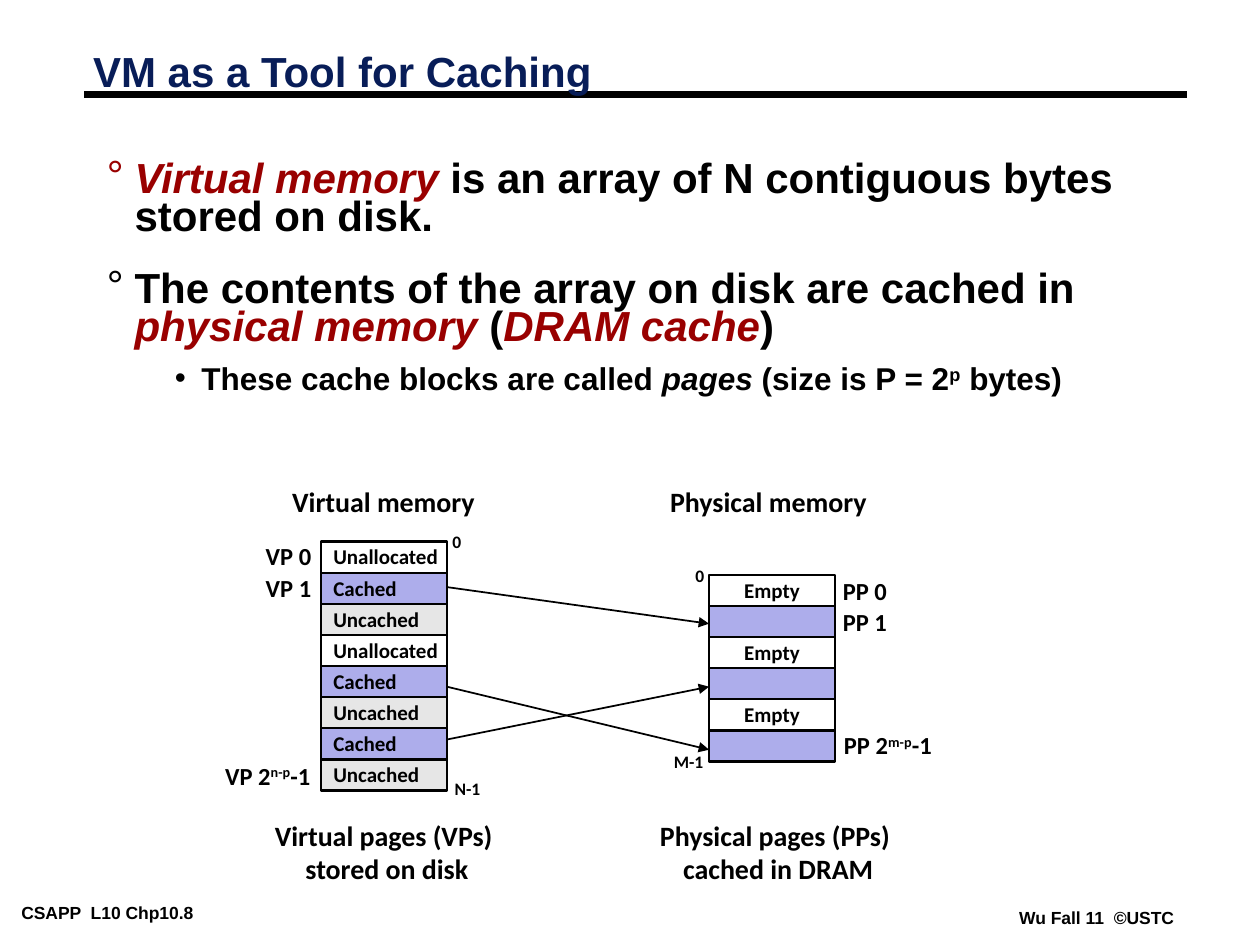
from dataclasses import dataclass

from lxml import etree
from pptx import Presentation
from pptx.dml.color import RGBColor
from pptx.enum.shapes import MSO_CONNECTOR, MSO_SHAPE
from pptx.enum.text import MSO_ANCHOR, MSO_AUTO_SIZE, PP_ALIGN
from pptx.oxml.ns import qn
from pptx.util import Pt

LEFT, CENTER, RIGHT = PP_ALIGN.LEFT, PP_ALIGN.CENTER, PP_ALIGN.RIGHT
TOP, MIDDLE = MSO_ANCHOR.TOP, MSO_ANCHOR.MIDDLE
FIT, FIXED = MSO_AUTO_SIZE.SHAPE_TO_FIT_TEXT, MSO_AUTO_SIZE.NONE
RECT, STRAIGHT = MSO_SHAPE.RECTANGLE, MSO_CONNECTOR.STRAIGHT


@dataclass(frozen=True)
class Theme:
    """Colours, fonts and type sizes of the slide."""
    navy: str = "081D58"
    red: str = "990000"
    black: str = "000000"
    white: str = "FFFFFF"
    cached: str = "ADADEB"
    uncached: str = "E6E6E6"
    head_font: str = "Arial"
    label_font: str = "Calibri"
    title: int = 24
    sub: int = 18
    heading: int = 16
    page: int = 14
    cell: int = 12
    small: int = 10


T = Theme()
CELL_W, CELL_H, PITCH = 72, 18, 17.75
VM_X, VM_Y, PM_X, PM_Y = 183.4, 309.6, 405.2, 328.5
FILLS = {"Unallocated": T.white, "Cached": T.cached, "Uncached": T.uncached,
         "Empty": T.white, "": T.cached}


def add_run(p, text, size, font=T.label_font, color=T.black, italic=False, sup=False):
    """Append one bold run to a paragraph."""
    r = p.add_run()
    r.text = text
    r.font.name, r.font.size = font, Pt(size)
    r.font.bold, r.font.italic = True, italic
    r.font.color.rgb = RGBColor.from_string(color)
    if sup:
        r._r.get_or_add_rPr().set("baseline", "30000")


def set_frame(tf, wrap=False, anchor=MIDDLE, margins=(7.2, 3.6), fit=FIXED):
    """Set wrapping, anchor, insets and sizing of a text frame."""
    tf.auto_size, tf.word_wrap, tf.vertical_anchor = fit, wrap, anchor
    tf.margin_left = tf.margin_right = Pt(margins[0])
    tf.margin_top = tf.margin_bottom = Pt(margins[1])


def add_label(s, box, lines, size, align=LEFT, spacing=0.98, font=T.label_font, margins=(7.2, 3.6)):
    """Add an unwrapped label; each line is a string whose ^ marks enclose superscripts."""
    tf = s.shapes.add_textbox(*map(Pt, box)).text_frame
    set_frame(tf, margins=margins, fit=FIT)
    for i, line in enumerate(lines):
        p = tf.add_paragraph() if i else tf.paragraphs[0]
        p.alignment, p.line_spacing = align, spacing
        for j, part in enumerate(line.split("^")):
            add_run(p, part, size, font, sup=j % 2 == 1)


def add_line(s, start, end, width, arrow=False):
    """Add a straight black line, with an arrowhead at its end if asked."""
    c = s.shapes.add_connector(STRAIGHT, *map(Pt, (*start, *end)))
    c.line.color.rgb = RGBColor.from_string(T.black)
    c.line.width = Pt(width)
    if arrow:
        etree.SubElement(c.line._get_or_add_ln(), qn("a:tailEnd"), type="triangle")
    etree.SubElement(c._element.spPr, qn("a:effectLst"))
    return c


def add_memory(s, x, y, names, align):
    """Stack one cell for each page of a memory."""
    for i, name in enumerate(names):
        sp = s.shapes.add_shape(RECT, *map(Pt, (x, y + i * PITCH, CELL_W, CELL_H)))
        sp.shadow.inherit = False
        sp.fill.solid()
        sp.fill.fore_color.rgb = RGBColor.from_string(FILLS[name])
        sp.line.color.rgb = RGBColor.from_string(T.black)
        sp.line.width = Pt(1.5)
        if name:
            set_frame(sp.text_frame)
            p = sp.text_frame.paragraphs[0]
            p.alignment, p.line_spacing = align, 0.98
            add_run(p, name, T.cell)


def add_bullet(p, char, color, left, hang):
    """Give a paragraph a coloured bullet and a hanging indent."""
    pPr = p._p.get_or_add_pPr()
    pPr.set("marL", str(Pt(left)))
    pPr.set("indent", str(-Pt(hang)))
    clr = etree.SubElement(pPr, qn("a:buClr"))
    etree.SubElement(clr, qn("a:srgbClr"), val=color)
    etree.SubElement(pPr, qn("a:buFont"), typeface=T.head_font)
    etree.SubElement(pPr, qn("a:buChar"), char=char)


def add_title(s, text):
    """Place the title over its rule."""
    rule = add_line(s, (48.2, 54), (678.2, 54), 4.5)
    s.shapes._spTree.insert(2, rule._element)
    sp = s.shapes.title
    sp.left, sp.top, sp.width, sp.height = map(Pt, (46, 26.3, 597.6, 32.4))
    set_frame(sp.text_frame, wrap=True)
    p = sp.text_frame.paragraphs[0]
    p.alignment, p.line_spacing = LEFT, 0.87
    add_run(p, text, T.title, T.head_font, T.navy)


def add_body(s):
    """Add the bulleted statements."""
    red = {"color": T.red, "italic": True}
    main = ("°", 15.8, 15.8, 0.75, 19.5, T.title)
    sub = ("•", 54, 15.1, 0.85, 9, T.sub)
    items = [
        (main, T.red, [("Virtual memory ", red),
                       ("is an array of N contiguous bytes stored on disk.", {})]),
        (main, T.black, [("The contents of the array on disk are cached in ", {}),
                         ("physical memory", red), (" (", {}),
                         ("DRAM cache", red), (")", {})]),
        (sub, T.black, [("These cache blocks are called ", {}),
                        ("pages ", {"italic": True}), ("(size is P = 2", {}),
                        ("p", {"sup": True}), (" bytes)", {})]),
    ]
    tf = s.shapes.add_textbox(*map(Pt, (54, 90, 617.8, 140.4))).text_frame
    set_frame(tf, wrap=True, anchor=TOP)
    for i, ((char, left, hang, spacing, before, size), color, runs) in enumerate(items):
        p = tf.add_paragraph() if i else tf.paragraphs[0]
        p.level = int(size == T.sub)
        p.line_spacing, p.space_before = spacing, Pt(before if i else 0)
        add_bullet(p, char, color, left, hang)
        for text, style in runs:
            add_run(p, text, size, T.head_font, **style)


def add_labels(s):
    """Add headings, page names, addresses and captions around the memories."""
    for box, text in [((159.8, 275.8, 118.8, 23.8), "Virtual memory"),
                      ((375.8, 275.8, 126.7, 23.8), "Physical memory")]:
        add_label(s, box, [text], T.heading, CENTER, 0.88)
    for box, text in [((144.7, 308.2, 40.3, 21.6), "VP 0"),
                      ((144.7, 326.2, 40.3, 21.6), "VP 1"),
                      ((121, 433.4, 63.4, 21.6), "VP 2^n-p^-1")]:
        add_label(s, box, [text], T.page, RIGHT, 0.88)
    for box, text in [((474.5, 326.2, 39.6, 23.8), "PP 0"),
                      ((474.5, 344.2, 39.6, 23.8), "PP 1"),
                      ((475.2, 416.2, 64.8, 21.6), "PP 2^m-p^-1")]:
        add_label(s, box, [text], T.page, LEFT, 0.88 if "^" in text else 0.98)
    for box, text in [((251.3, 300.2, 19.4, 19.4), "0"),
                      ((250.6, 441.4, 33, 19.4), "N-1"),
                      ((390.2, 319.7, 19.4, 19.4), "0"),
                      ((377, 426.2, 33, 19.4), "M-1")]:
        add_label(s, box, [text], T.small, CENTER)
    for box, lines in [((149.8, 465.1, 142.6, 44.6), ["Virtual pages (VPs) ", "stored on disk"]),
                       ((369.4, 465.1, 150.5, 44.6), ["Physical pages (PPs) ", "cached in DRAM"])]:
        add_label(s, box, lines, T.heading, CENTER)


def main():
    """Build and save the slide."""
    prs = Presentation()
    prs.slide_width, prs.slide_height = Pt(720), Pt(540)
    s = prs.slides.add_slide(prs.slide_layouts[5])
    add_title(s, "VM as a Tool for Caching")
    add_body(s)
    add_memory(s, VM_X, VM_Y, ["Unallocated", "Cached", "Uncached", "Unallocated",
                               "Cached", "Uncached", "Cached", "Uncached"], LEFT)
    add_memory(s, PM_X, PM_Y, ["Empty", ""] * 3, CENTER)
    for y1, y2 in [(335.5, 356.4), (392.4, 428.4), (422.6, 392.4)]:
        add_line(s, (VM_X + CELL_W, y1), (PM_X, y2), 1, arrow=True)
    add_labels(s)
    for box, text in [((7.2, 513.4, 151.2, 15.8), "CSAPP  L10 Chp10.8"),
                      ((577.4, 516.5, 99.4, 15.8), "Wu Fall 11  ©USTC")]:
        add_label(s, box, [text], T.small, LEFT, 1.0, T.head_font, (5, 2))
    prs.save("out.pptx")


if __name__ == "__main__":
    main()
